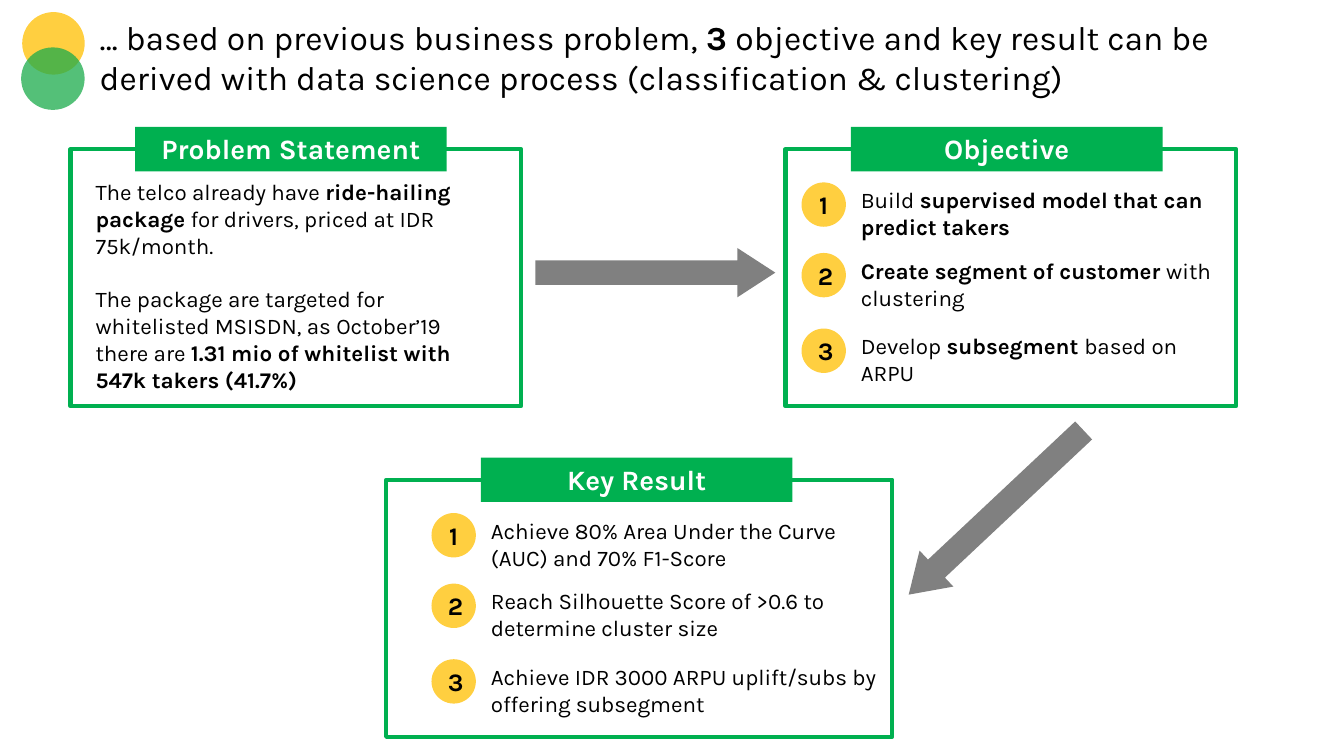
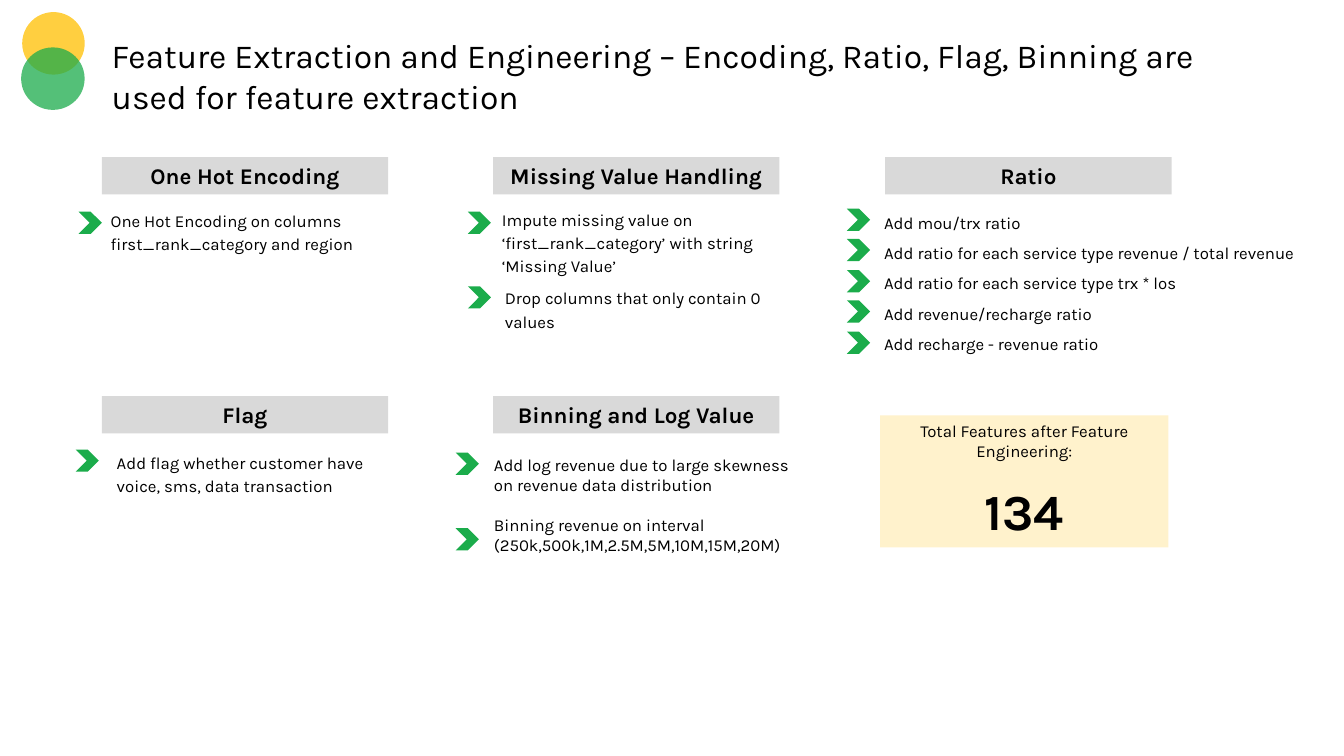
from lxml import etree
from pptx import Presentation
from pptx import util as u
from pptx.dml.color import RGBColor
from pptx.enum import shapes, text
from pptx.oxml.ns import qn

PX = 9144  # 100 px to the inch
FONT = "Karla"
BLACK = RGBColor(0x00, 0x00, 0x00)
WHITE = RGBColor(0xFF, 0xFF, 0xFF)
GREEN = RGBColor(0x00, 0xB0, 0x50)
LEAF = RGBColor(0x1B, 0xAC, 0x4B)
AMBER = RGBColor(0xFF, 0xC0, 0x00)
GRAY = RGBColor(0x80, 0x80, 0x80)
SILVER = RGBColor(0xD9, 0xD9, 0xD9)
CREAM = RGBColor(0xFF, 0xF2, 0xCC)
KIND = shapes.MSO_SHAPE
LEFT, CENTER = text.PP_ALIGN.LEFT, text.PP_ALIGN.CENTER
TOP, MIDDLE = text.MSO_ANCHOR.TOP, text.MSO_ANCHOR.MIDDLE

# Text between ** marks is bold.
OBJECTIVES_TITLE = (
    "… based on previous business problem, **3 **objective and key result can be "
    "derived with data science process (classification & clustering)")
FEATURES_TITLE = ("Feature Extraction and Engineering – Encoding, Ratio, Flag, Binning "
                  "are used for feature extraction")

PROBLEM = [
    "The telco already have **ride-hailing package** for drivers, priced at IDR 75k/month.",
    "The package are targeted for whitelisted MSISDN, as October’19 there are "
    "**1.31 mio of whitelist with 547k takers (41.7%)**",
]
# heading, panel left, top, width, banner left, item width, numbered items
PANELS = [
    ("Problem Statement", 70, 148, 447, 134, 0, []),
    ("Objective", 779, 148, 447, 844, 367, [
        "Build **supervised model that can predict takers**",
        "**Create segment of customer **with clustering",
        "Develop **subsegment **based on ARPU"]),
    ("Key Result", 383, 476, 502, 477, 408, [
        "Achieve 80% Area Under the Curve (AUC) and 70% F1-Score",
        "Reach Silhouette Score of >0.6 to determine cluster size",
        "Achieve IDR 3000 ARPU uplift/subs by offering subsegment"]),
]
PANEL_HEIGHT = 255
ITEM_OFFSETS = (33, 103, 178)
ARROWS = [(531, 246, 0), (869, 484, 136.8)]

COLUMNS, ROWS = (101, 489, 878), (156, 393)
# heading, column, row, chevron left, chevron tops
TOPICS = [
    ("One Hot Encoding", 0, 0, 78, [210]),
    ("Missing Value Handling", 1, 0, 464, [210, 284]),
    ("Ratio", 2, 0, 840, [207, 237, 268, 298, 329]),
    ("Flag", 0, 1, 75, [446]),
    ("Binning and Log Value", 1, 1, 452, [449, 524]),
]
# box, line spacing, space before later paragraphs, paragraphs
NOTES = [
    ((100, 201, 314, 55), 1.15, 0,
     ["One Hot Encoding on columns first_rank_category and region"]),
    ((488, 200, 309, 79), 1.15, 0,
     ["Impute missing value on ‘first_rank_category’ with string ‘Missing Value’"]),
    ((491, 278, 283, 55), 1.15, 0, ["Drop columns that only contain 0 values"]),
    ((867, 196, 460, 141), 1.5, 0, [
        "Add mou/trx ratio",
        "Add ratio for each service type revenue / total revenue",
        "Add ratio for each service type trx * los",
        "Add revenue/recharge ratio",
        "Add recharge - revenue ratio"]),
    ((106, 441, 283, 55), 1.15, 0,
     ["Add flag whether customer have voice, sms, data transaction"]),
    ((480, 446, 318, 111), 1, 14, [
        "Add log revenue due to large skewness on revenue data distribution",
        "Binning revenue on interval (250k,500k,1M,2.5M,5M,10M,15M,20M)"]),
]
TOTAL = ["Total Features after Feature Engineering:", "**134**"]


def emu(*lengths):
    return [u.Emu(round(length * PX)) for length in lengths]


def write(shape, paragraphs, sizes=(16,), color=BLACK, bold=False, align=LEFT,
          anchor=TOP, spacing=1, gap=0):
    """Fill a shape with paragraphs; the last size serves any that remain."""
    frame = shape.text_frame
    frame.word_wrap = True
    frame.vertical_anchor = anchor
    for index, content in enumerate(paragraphs):
        paragraph = frame.add_paragraph() if index else frame.paragraphs[0]
        paragraph.alignment = align
        paragraph.line_spacing = float(spacing)
        if index and gap:
            paragraph.space_before = u.Pt(gap)
        for part, piece in enumerate(content.split("**")):
            if piece:
                run = paragraph.add_run()
                run.text = piece
                run.font.name = FONT
                run.font.size = u.Pt(sizes[min(index, len(sizes) - 1)])
                run.font.bold = bold or part % 2 == 1
                run.font.color.rgb = color


def add_text(slide, box, paragraphs, **style):
    write(slide.shapes.add_textbox(*emu(*box)), paragraphs, **style)


def add_shape(slide, kind, box, fill=None, line=None, alpha=None):
    shape = slide.shapes.add_shape(kind, *emu(*box))
    shape.shadow.inherit = False
    if fill is None:
        shape.fill.background()
    else:
        shape.fill.solid()
        shape.fill.fore_color.rgb = fill
    if line is None:
        shape.line.fill.background()
    else:
        shape.line.color.rgb = line
        shape.line.width = u.Pt(3)
    if alpha:
        color = shape.fill._xPr.find(".//" + qn("a:srgbClr"))
        etree.SubElement(color, qn("a:alpha")).set("val", str(alpha * 1000))
    return shape


def add_titled_slide(presentation, title, box):
    slide = presentation.slides.add_slide(presentation.slide_layouts[6])
    add_text(slide, box, [title], sizes=(24,))
    add_shape(slide, KIND.OVAL, (22, 12, 62, 62), AMBER, alpha=75)
    add_shape(slide, KIND.OVAL, (21, 47, 63, 62), LEAF, alpha=75)
    return slide


def add_panel(slide, heading, left, top, width, banner_left, item_width, items):
    add_shape(slide, KIND.RECTANGLE, (left, top, width, PANEL_HEIGHT), line=GREEN)
    banner = add_shape(slide, KIND.RECTANGLE, (banner_left, top - 22, 309, 44), GREEN)
    write(banner, [heading], sizes=(20,), color=WHITE, bold=True, align=CENTER)
    for number, (offset, item) in enumerate(zip(ITEM_OFFSETS, items), 1):
        badge = add_shape(slide, KIND.OVAL, (banner_left - 49, top + offset, 44, 44),
                          AMBER, alpha=75)
        write(badge, [str(number)], sizes=(18,), bold=True, align=CENTER, anchor=MIDDLE)
        add_text(slide, (banner_left, top + offset - 1, item_width, 64), [item])


def build_objectives(presentation):
    slide = add_titled_slide(presentation, OBJECTIVES_TITLE, (89, 12, 1232, 91))
    for panel in PANELS:
        add_panel(slide, *panel)
    add_text(slide, (85, 172, 416, 226), PROBLEM, gap=19)
    for left, top, angle in ARROWS:
        arrow = add_shape(slide, KIND.RIGHT_ARROW, (left, top, 238, 49), GRAY)
        arrow.adjustments[1] = 0.77
        arrow.rotation = angle


def build_features(presentation):
    slide = add_titled_slide(presentation, FEATURES_TITLE, (101, 30, 1132, 91))
    for heading, column, row, chevron_left, chevron_tops in TOPICS:
        band = add_shape(slide, KIND.RECTANGLE, (COLUMNS[column], ROWS[row], 284, 37), SILVER)
        write(band, [heading], bold=True, align=CENTER)
        for top in chevron_tops:
            add_shape(slide, KIND.CHEVRON, (chevron_left, top, 23, 22), LEAF)
    for box, spacing, gap, paragraphs in NOTES:
        add_text(slide, box, paragraphs, sizes=(12,), spacing=spacing, gap=gap)
    total = add_shape(slide, KIND.RECTANGLE, (873, 412, 286, 131), CREAM)
    write(total, TOTAL, sizes=(12, 36), align=CENTER, gap=14)


def main():
    presentation = Presentation()
    presentation.slide_width, presentation.slide_height = emu(1333, 750)
    build_objectives(presentation)
    build_features(presentation)
    presentation.save("out.pptx")


if __name__ == "__main__":
    main()
